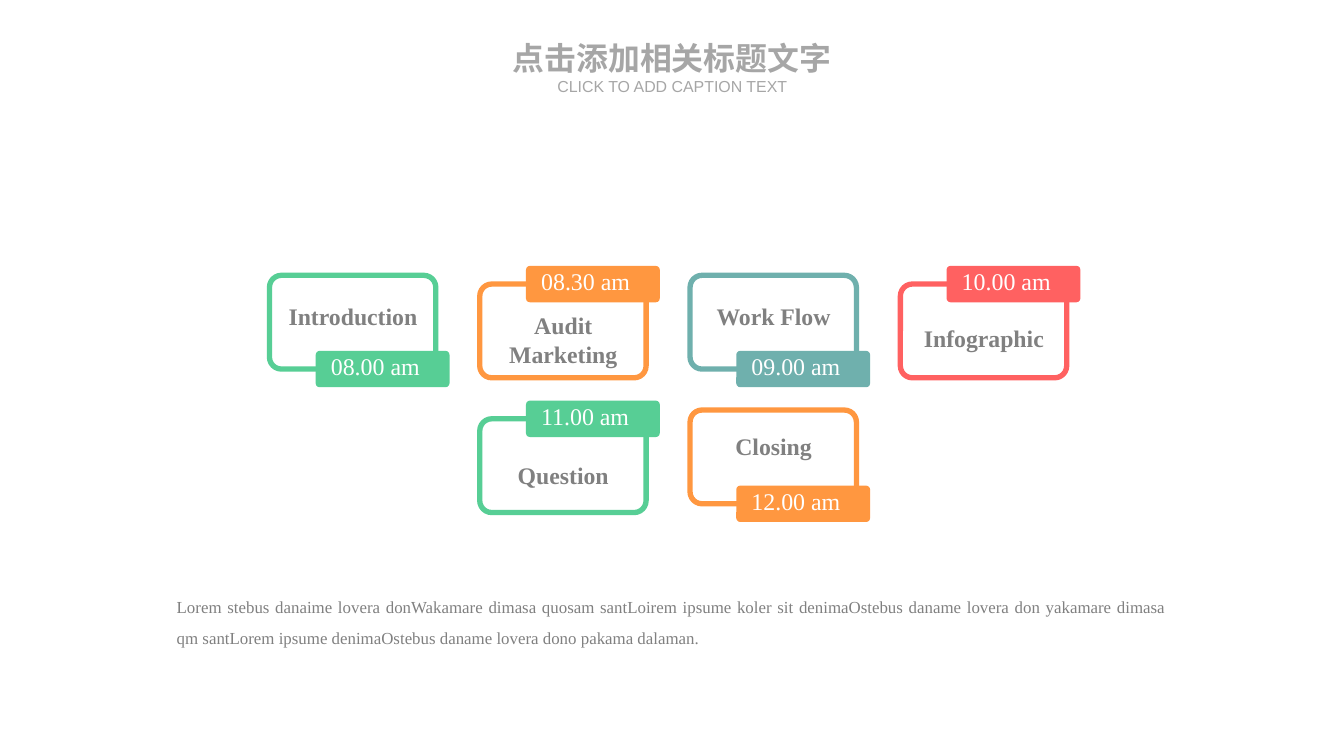
import pptx
import pptx.util
import pptx.dml.color
import pptx.enum.shapes
import pptx.enum.text

Pt = pptx.util.Pt
RGBColor = pptx.dml.color.RGBColor
ALIGN = pptx.enum.text.PP_ALIGN
ROUNDED = pptx.enum.shapes.MSO_SHAPE.ROUNDED_RECTANGLE

GREEN = RGBColor(0x57, 0xCE, 0x95)
ORANGE = RGBColor(0xFF, 0x97, 0x40)
TEAL = RGBColor(0x6F, 0xB0, 0xAD)
RED = RGBColor(0xFF, 0x61, 0x61)
GRAY = RGBColor(0x80, 0x80, 0x80)
LIGHT_GRAY = RGBColor(0xA6, 0xA6, 0xA6)
WHITE = RGBColor(0xFF, 0xFF, 0xFF)
SERIF = "Times New Roman"
SANS = "Arial"


def add_text(shapes, box, text, font, size, color, align, bold=False, wrap=True, inset=True):
    sp = shapes.add_textbox(*[Pt(v) for v in box])
    tf = sp.text_frame
    tf.word_wrap = wrap
    if not inset:
        tf.margin_left = tf.margin_right = tf.margin_top = tf.margin_bottom = 0
    tf.text = text
    for p in tf.paragraphs:
        p.alignment = align
        for r in p.runs:
            r.font.name = font
            r.font.size = Pt(size)
            r.font.bold = bold
            r.font.color.rgb = color
    return tf


def add_rounded(shapes, x, y, w, h, radius):
    sp = shapes.add_shape(ROUNDED, Pt(x), Pt(y), Pt(w), Pt(h))
    sp.adjustments[0] = radius / h
    sp.shadow.inherit = False
    return sp


prs = pptx.Presentation()
prs.slide_width = Pt(1012.3)
prs.slide_height = Pt(569.5)
s = prs.slides.add_slide(prs.slide_layouts[6])

add_text(s.shapes, (379.4, 28.8, 253.4, 28.8), "点击添加相关标题文字",
         SANS, 24, LIGHT_GRAY, ALIGN.CENTER, bold=True, inset=False)
add_text(s.shapes, (402.5, 57.6, 208, 14.4), "CLICK TO ADD CAPTION TEXT",
         SANS, 12, LIGHT_GRAY, ALIGN.CENTER, inset=False)

LEFT, TOP = 203, 207.4
COL_STEP, ROW_STEP = 158.4, 101.5
FRAME_W, FRAME_H = 125.3, 70.6
TAG_W, TAG_H = 100.8, 27.4

sessions = [
    (0, 0, "Introduction", "08.00 am", GREEN, False, 16.6),
    (1, 0, "Audit\nMarketing", "08.30 am", ORANGE, True, 16.6),
    (2, 0, "Work Flow", "09.00 am", TEAL, False, 16.6),
    (3, 0, "Infographic", "10.00 am", RED, True, 26),
    (1, 1, "Question", "11.00 am", GREEN, True, 28),
    (2, 1, "Closing", "12.00 am", ORANGE, False, 13),
]

for col, row, name, time, color, tag_on_top, name_dy in sessions:
    x = LEFT + col * COL_STEP
    y = TOP + row * ROW_STEP + (6.6 if tag_on_top else 0)
    tag_x = x + 34.8
    tag_y = y + (-13.7 if tag_on_top else 56.9)
    shapes = s.shapes.add_group_shape().shapes

    frame = add_rounded(shapes, x, y, FRAME_W, FRAME_H, 9)
    frame.fill.background()
    frame.line.color.rgb = color
    frame.line.width = Pt(4)

    tag = add_rounded(shapes, tag_x, tag_y, TAG_W, TAG_H, 3)
    tag.fill.solid()
    tag.fill.fore_color.rgb = color
    tag.line.fill.background()

    name_h = 28.8 if "\n" not in name else 50.4
    add_text(shapes, (x - 0.5, y + name_dy, 126.7, name_h), name,
             SERIF, 17.9, GRAY, ALIGN.CENTER, bold=True)
    add_text(shapes, (tag_x + 4.3, tag_y - 2.8, 82.8, 28.8), time,
             SERIF, 18, WHITE, ALIGN.LEFT, wrap=False)

tf = add_text(s.shapes, (126, 438.5, 759.6, 50.4),
              "Lorem stebus danaime lovera donWakamare dimasa quosam santLoirem ipsume "
              "koler sit denimaOstebus daname lovera don yakamare dimasa qm santLorem "
              "ipsume denimaOstebus daname lovera dono pakama dalaman.",
              SERIF, 12.7, GRAY, ALIGN.JUSTIFY)
tf.paragraphs[0].line_spacing = 1.5

prs.save("out.pptx")
